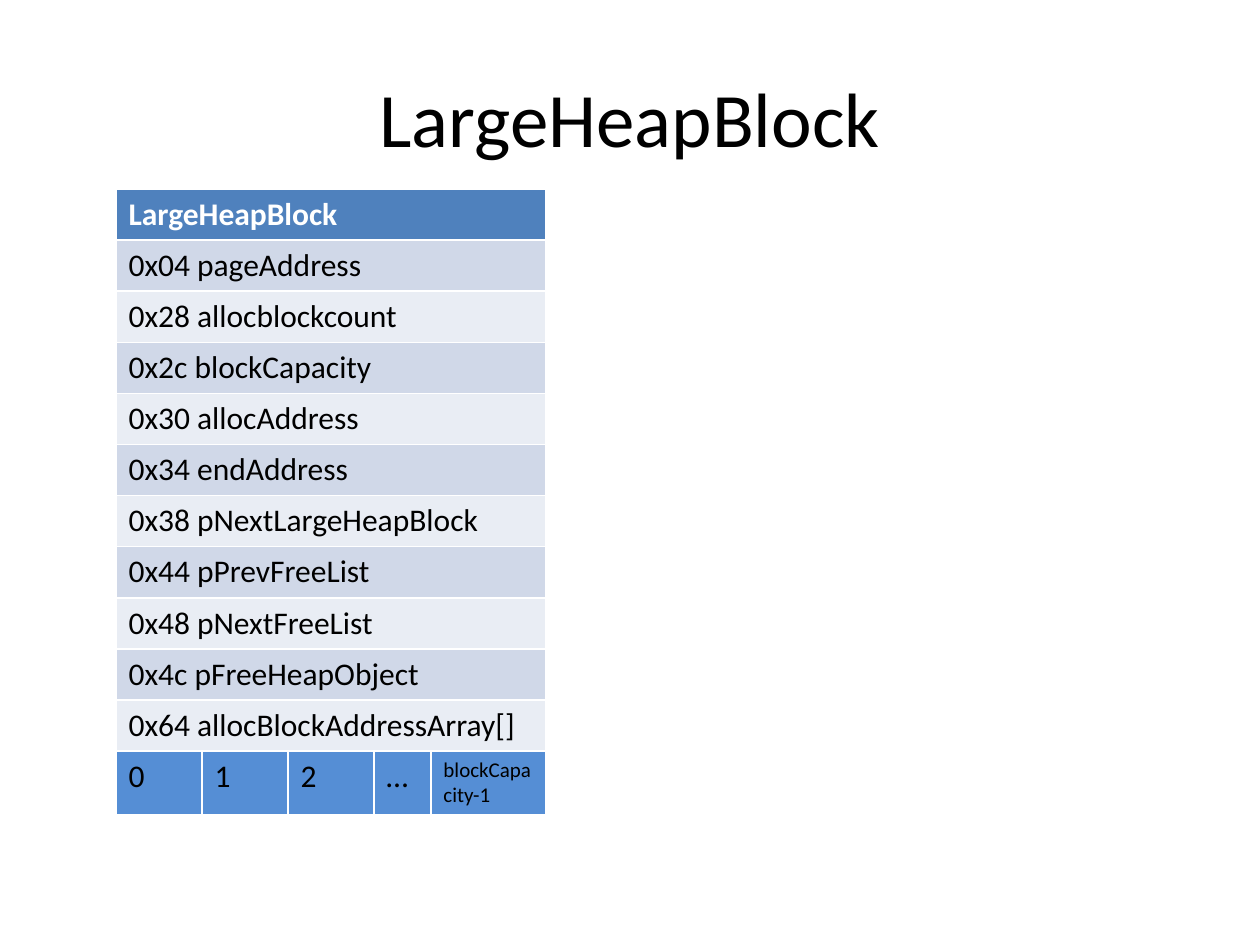
from pptx import Presentation
from pptx.dml.color import RGBColor
from pptx.enum.text import MSO_ANCHOR, PP_ALIGN
from pptx.util import Pt

EMU_PER_PX = 914400 // 126
FONT = "Calibri"
BLACK, WHITE = "000000", "FFFFFF"
HEADER_FILL, ARRAY_FILL = "4F81BD", "558ED5"
BAND_FILLS = ("D0D8E8", "E9EDF4")

HEADER = "LargeHeapBlock"
FIELDS = [
    "0x04 pageAddress",
    "0x28 allocblockcount",
    "0x2c blockCapacity",
    "0x30 allocAddress",
    "0x34 endAddress",
    "0x38 pNextLargeHeapBlock",
    "0x44 pPrevFreeList",
    "0x48 pNextFreeList",
    "0x4c pFreeHeapObject",
    "0x64 allocBlockAddressArray[]",
]
ARRAY_ITEMS = [("0", 18), ("1", 18), ("2", 18), ("…", 18), ("blockCapacity-1", 12)]
COLUMN_WIDTHS = [86, 86, 86, 57, 115]
ROW_HEIGHT, ARRAY_ROW_HEIGHT = 51, 63


def px(length):
    return length * EMU_PER_PX


def color(hex_string):
    return RGBColor.from_string(hex_string)


def format_paragraph(paragraph, size, text_color, bold=False):
    font = paragraph.font
    font.name = FONT
    font.size = Pt(size)
    font.bold = bold
    font.color.rgb = color(text_color)


def add_title(slide, text):
    title = slide.shapes.title
    title.left, title.top, title.width, title.height = map(px, (63, 38, 1134, 157))
    title.text_frame.text = text
    title.text_frame.vertical_anchor = MSO_ANCHOR.MIDDLE
    paragraph = title.text_frame.paragraphs[0]
    paragraph.alignment = PP_ALIGN.CENTER
    format_paragraph(paragraph, 44, BLACK)


def fill_cell(cell, text, fill, size=18, text_color=BLACK, bold=False):
    cell.text = text
    cell.fill.solid()
    cell.fill.fore_color.rgb = color(fill)
    format_paragraph(cell.text_frame.paragraphs[0], size, text_color, bold)


def merge_row(table, row):
    """Join all cells of a row and return the resulting cell."""
    cell = table.cell(row, 0)
    cell.merge(table.cell(row, len(COLUMN_WIDTHS) - 1))
    return cell


def add_layout_table(slide, left, top):
    """Add the structure layout: header, fields, then the array items.

    White cell borders come from the default table style.
    """
    heights = [ROW_HEIGHT] * (len(FIELDS) + 1) + [ARRAY_ROW_HEIGHT]
    table = slide.shapes.add_table(
        len(heights), len(COLUMN_WIDTHS),
        px(left), px(top), px(sum(COLUMN_WIDTHS)), px(sum(heights)),
    ).table
    for column, width in zip(table.columns, COLUMN_WIDTHS):
        column.width = px(width)
    for row, height in zip(table.rows, heights):
        row.height = px(height)

    fill_cell(merge_row(table, 0), HEADER, HEADER_FILL, text_color=WHITE, bold=True)
    for index, field in enumerate(FIELDS):
        fill_cell(merge_row(table, index + 1), field, BAND_FILLS[index % 2])
    for column, (text, size) in enumerate(ARRAY_ITEMS):
        fill_cell(table.cell(len(heights) - 1, column), text, ARRAY_FILL, size)


def main():
    presentation = Presentation()
    presentation.slide_width, presentation.slide_height = px(1260), px(945)
    title_only = presentation.slide_layouts[5]
    slide = presentation.slides.add_slide(title_only)
    add_title(slide, HEADER)
    add_layout_table(slide, 116, 189)
    presentation.save("out.pptx")


if __name__ == "__main__":
    main()
